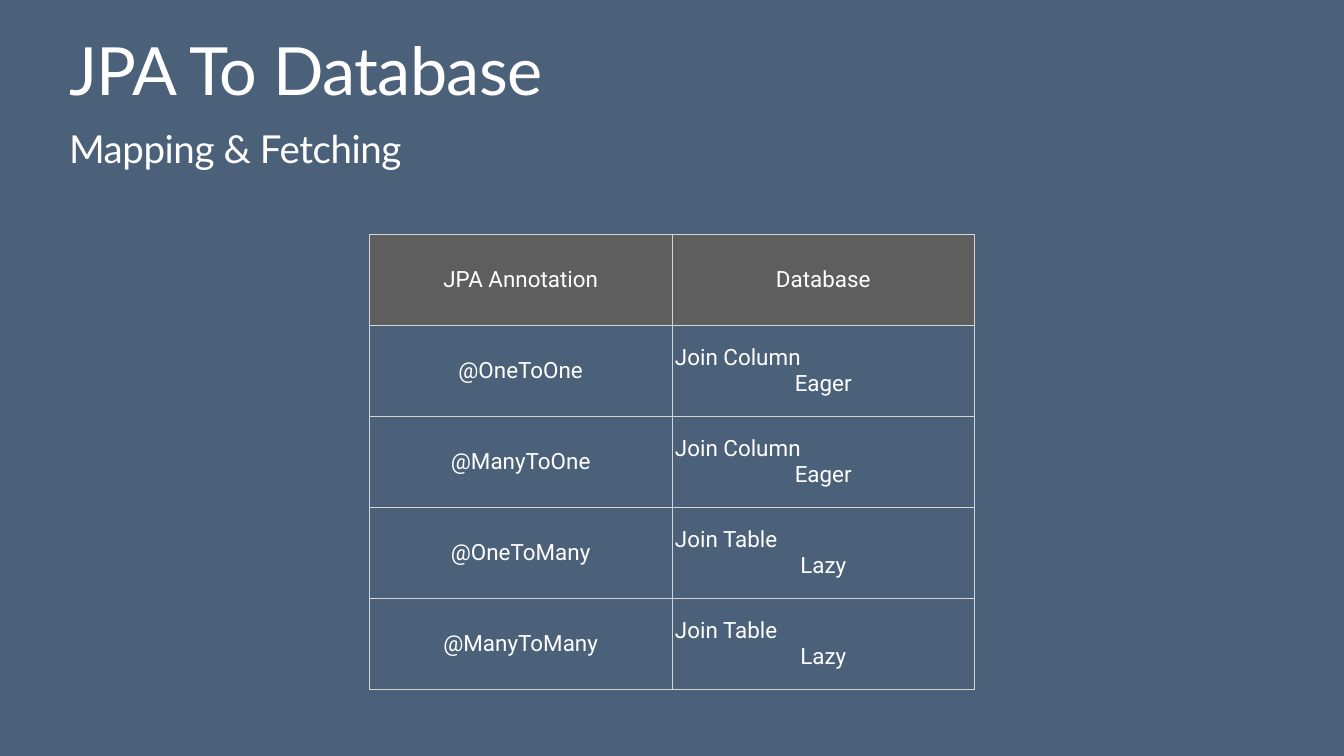
import pptx
import pptx.dml.color
import pptx.enum.text
import pptx.oxml
import pptx.oxml.ns
import pptx.util
from pptx.util import Cm, Pt

RGBColor = pptx.dml.color.RGBColor
ALIGN = pptx.enum.text.PP_ALIGN
ANCHOR = pptx.enum.text.MSO_ANCHOR

BACKGROUND = RGBColor(0x4B, 0x60, 0x79)
HEADER = RGBColor(0x5E, 0x5E, 0x5E)
WHITE = RGBColor(0xFF, 0xFF, 0xFF)
BORDER = RGBColor(0xD5, 0xD5, 0xD5)

MAPPINGS = [
    ("JPA Annotation", "Database"),
    ("@OneToOne", "Join Column", "Eager"),
    ("@ManyToOne", "Join Column", "Eager"),
    ("@OneToMany", "Join Table", "Lazy"),
    ("@ManyToMany", "Join Table", "Lazy"),
]


def set_attrs(obj, **values):
    for name, value in values.items():
        setattr(obj, name, value)


def set_margins(obj, margin):
    for side in ("left", "top", "right", "bottom"):
        setattr(obj, f"margin_{side}", margin)


def write(p, text, font, size):
    r = p.add_run()
    r.text = text
    set_attrs(r.font, name=font, size=Pt(size))
    r.font.color.rgb = WHITE
    return r


def add_heading(slide, box, text, size, spacing, margin):
    """Add one line of heading; spacing is the letter spacing in points."""
    tf = slide.shapes.add_textbox(*box).text_frame
    set_attrs(tf, word_wrap=True, vertical_anchor=ANCHOR.TOP)
    set_margins(tf, margin)
    p = tf.paragraphs[0]
    p.line_spacing = 0.9
    r = write(p, text, "Lato", size)
    r.font._element.set("spc", str(round(spacing * 100)))


def add_header(slide, left, top, width):
    title_height = Cm(4.7)
    add_heading(slide, (left, top, width, title_height),
                "JPA To Database", 95, -0.9, Cm(0.15))
    add_heading(slide, (left, top + title_height, width, Cm(2.8)),
                "Mapping & Fetching", 55, -0.6, Cm(0.13))


def set_borders(cell):
    props = cell._tc.get_or_add_tcPr()
    for i, side in enumerate(("lnL", "lnR", "lnT", "lnB")):
        props.insert(i, pptx.oxml.parse_xml(
            f'<a:{side} {pptx.oxml.ns.nsdecls("a")} w="{Pt(1)}"><a:solidFill>'
            f'<a:srgbClr val="{BORDER}"/></a:solidFill></a:{side}>'))


def fill_cell(cell, lines, is_header):
    """Centre the last line; any line above it starts at the left edge."""
    cell.vertical_anchor = ANCHOR.MIDDLE
    set_margins(cell, Cm(0.15))
    if is_header:
        cell.fill.solid()
        cell.fill.fore_color.rgb = HEADER
    else:
        cell.fill.background()
    set_borders(cell)
    tf = cell.text_frame
    for i, line in enumerate(lines):
        p = tf.add_paragraph() if i else tf.paragraphs[0]
        p.alignment = ALIGN.CENTER if line is lines[-1] else ALIGN.LEFT
        write(p, line, "Roboto", 32)


def add_mapping_table(slide, left, top, width, height):
    table = slide.shapes.add_table(
        len(MAPPINGS), 2, left, top, width, height).table
    set_attrs(table, first_row=True, horz_banding=False)
    for column in table.columns:
        column.width = width // 2
    for i, (annotation, *database) in enumerate(MAPPINGS):
        table.rows[i].height = height // len(MAPPINGS)
        for j, lines in enumerate(([annotation], database)):
            fill_cell(table.cell(i, j), lines, i == 0)


def main():
    prs = pptx.Presentation()
    set_attrs(prs, slide_width=Cm(67.74), slide_height=Cm(38.1))
    slide = prs.slides.add_slide(prs.slide_layouts[6])
    fill = slide.background.fill
    fill.solid()
    fill.fore_color.rgb = BACKGROUND
    add_header(slide, Cm(3.35), Cm(1.75), Cm(61.04))
    add_mapping_table(slide, Cm(18.62), Cm(11.81), Cm(30.5), Cm(22.93))
    prs.save("out.pptx")


if __name__ == "__main__":
    main()
